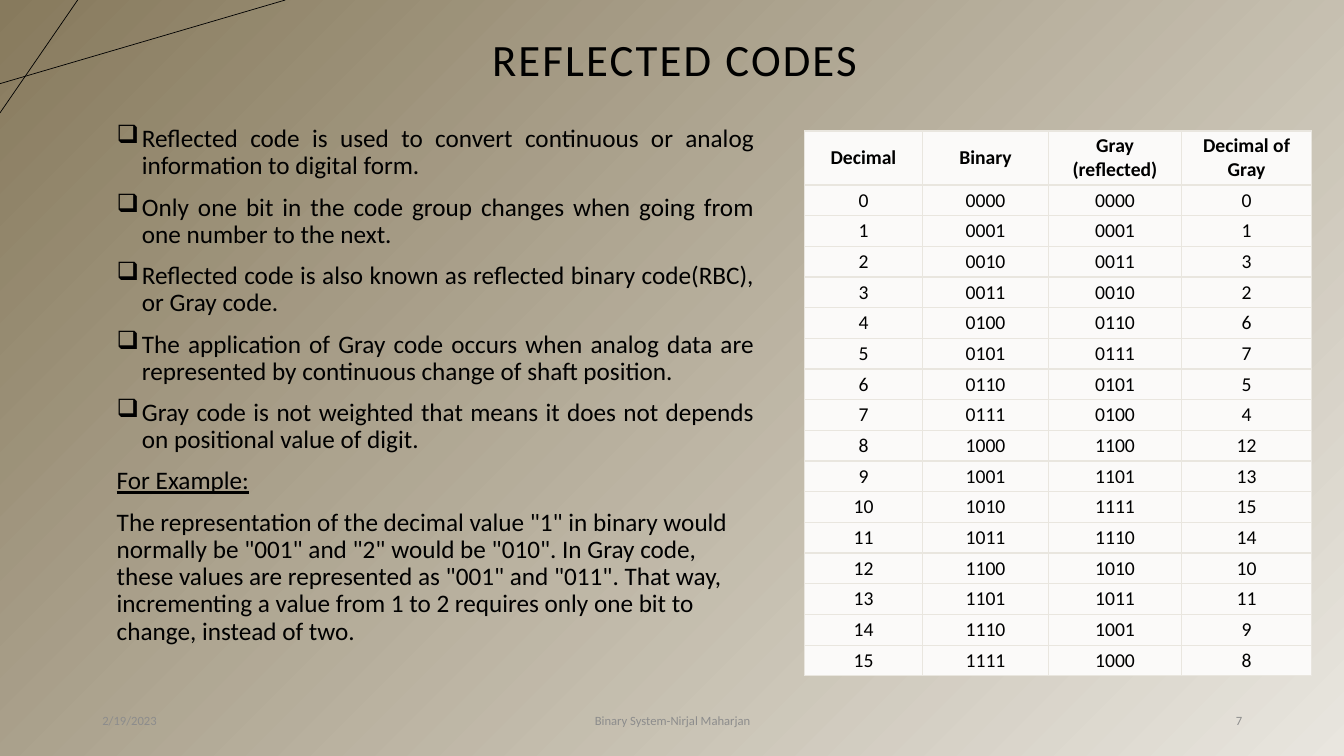
from dataclasses import dataclass
from typing import Optional

from lxml.etree import SubElement
from pptx import Presentation
from pptx.dml.color import RGBColor
from pptx.enum.shapes import MSO_CONNECTOR
from pptx.enum.text import MSO_ANCHOR as Anchor, MSO_AUTO_SIZE as AutoSize, PP_ALIGN as Align
from pptx.oxml import parse_xml
from pptx.oxml.ns import nsdecls, qn
from pptx.util import Inches, Pt


@dataclass(frozen=True)
class Theme:
    font: str = "Calibri"
    ink: str = "000000"
    muted: str = "8C8C8C"
    sand: str = "E9E6DF"
    earth: str = "877A5D"
    paper: str = "FBFAF9"
    title_size: int = 32
    body_size: int = 18
    table_size: int = 14
    footer_size: int = 9
    line_spacing: float = 0.9


@dataclass(frozen=True)
class Area:
    left: float
    top: float
    width: float
    height: float

    def box(self) -> tuple[int, int, int, int]:
        return across(self.left), down(self.top), across(self.width), down(self.height)


@dataclass(frozen=True)
class Statement:
    text: str
    bulleted: bool = False
    underlined: bool = False


@dataclass(frozen=True)
class FooterPart:
    text: str
    area: Area
    align: Align


@dataclass(frozen=True)
class Stroke:
    left_edge: float
    top_edge: float


@dataclass(frozen=True)
class Column:
    heading: str
    width: float


THEME = Theme()
SLIDE_WIDTH, SLIDE_HEIGHT = Inches(13.33), Inches(7.5)
TITLE_AREA = Area(35.86, 4.13, 30.98, 8.27)
BODY_AREA = Area(7.95, 16, 48.91, 65.33)
TABLE_LEFT, TABLE_TOP = 59.86, 17.33
HEADING_HEIGHT, CODE_HEIGHT = 7.14, 4.06
CODE_COUNT = 16

STROKES = [Stroke(11.07, 21.23), Stroke(14.93, 5.78)]
COLUMNS = [
    Column("Decimal", 8.78),
    Column("Binary", 9.38),
    Column("Gray (reflected)", 9.9),
    Column("Decimal of Gray", 9.68),
]
FOOTER = [
    FooterPart("2/19/2023", Area(6.88, 92.67, 22.5, 5.33), Align.LEFT),
    FooterPart("Binary System-Nirjal Maharjan", Area(33.16, 92.67, 33.76, 5.33), Align.CENTER),
    FooterPart("7", Area(70.67, 92.67, 22.5, 5.33), Align.RIGHT),
]
STATEMENTS = [
    Statement("Reflected code is used to convert continuous or analog information to digital form.", bulleted=True),
    Statement("Only one bit in the code group changes when going from one number to the next.", bulleted=True),
    Statement("Reflected code is also known as reflected binary code(RBC), or Gray code.", bulleted=True),
    Statement("The application of Gray code occurs when analog data are represented by "
              "continuous change of shaft position.", bulleted=True),
    Statement("Gray code is not weighted that means it does not depends on positional value of digit.", bulleted=True),
    Statement("For Example:", underlined=True),
    Statement('The representation of the decimal value "1" in binary would normally be "001" and "2" '
              'would be "010". In Gray code, these values are represented as "001" and "011". That way, '
              "incrementing a value from 1 to 2 requires only one bit to change, instead of two."),
]


def across(percent: float) -> int:
    return round(SLIDE_WIDTH * percent / 100)


def down(percent: float) -> int:
    return round(SLIDE_HEIGHT * percent / 100)


def add_run(paragraph, text: str, size: int, color: str = THEME.ink,
            bold: bool = False, underlined: Optional[bool] = None):
    run = paragraph.add_run()
    run.text = text
    font = run.font
    font.name, font.size, font.bold, font.underline = THEME.font, Pt(size), bold, underlined
    font.color.rgb = RGBColor.from_string(color)
    return run


def paint_background(slide) -> None:
    slide.element.cSld.insert(0, parse_xml(
        f'<p:bg {nsdecls("p", "a")}><p:bgPr><a:gradFill rotWithShape="1"><a:gsLst>'
        f'<a:gs pos="0"><a:srgbClr val="{THEME.sand}"/></a:gs>'
        f'<a:gs pos="100000"><a:srgbClr val="{THEME.earth}"/></a:gs></a:gsLst>'
        '<a:path path="circle"><a:fillToRect l="100000" t="100000"/></a:path>'
        '</a:gradFill><a:effectLst/></p:bgPr></p:bg>'))


def draw_stroke(slide, stroke: Stroke) -> None:
    line = slide.shapes.add_connector(
        MSO_CONNECTOR.STRAIGHT, 0, down(stroke.left_edge), across(stroke.top_edge), 0)
    line.line.color.rgb = RGBColor.from_string(THEME.ink)
    line.line.width = Pt(0.5)
    SubElement(line._element.spPr, qn("a:effectLst"))


def write_title(slide) -> None:
    title = slide.shapes.title
    title.left, title.top, title.width, title.height = TITLE_AREA.box()
    frame = title.text_frame
    frame.word_wrap, frame.auto_size, frame.vertical_anchor = True, AutoSize.NONE, Anchor.MIDDLE
    heading = frame.paragraphs[0]
    heading.alignment, heading.line_spacing = Align.LEFT, THEME.line_spacing
    run = add_run(heading, "REFLECTED CODES", THEME.title_size)
    run.font._element.set("spc", "150")


def write_statements(slide) -> None:
    frame = slide.shapes.add_textbox(*BODY_AREA.box()).text_frame
    frame.word_wrap = True
    for index, statement in enumerate(STATEMENTS):
        paragraph = frame.add_paragraph() if index else frame.paragraphs[0]
        paragraph.line_spacing, paragraph.space_before = THEME.line_spacing, Pt(10)
        if statement.bulleted:
            paragraph.alignment = Align.JUSTIFY
            properties = paragraph._p.get_or_add_pPr()
            properties.set("marL", str(Inches(0.25)))
            properties.set("indent", str(Inches(-0.25)))
            SubElement(properties, qn("a:buChar"), char="❑")
        add_run(paragraph, statement.text, THEME.body_size, underlined=statement.underlined)


def write_footer(slide, part: FooterPart) -> None:
    frame = slide.shapes.add_textbox(*part.area.box()).text_frame
    frame.word_wrap, frame.vertical_anchor = True, Anchor.MIDDLE
    frame.paragraphs[0].alignment = part.align
    add_run(frame.paragraphs[0], part.text, THEME.footer_size, THEME.muted)


def fill_cell(cell, text: str, bold: bool) -> None:
    properties = cell._tc.get_or_add_tcPr()
    for side in ("lnL", "lnR", "lnT", "lnB"):
        border = SubElement(properties, qn(f"a:{side}"), w=str(Pt(1)))
        SubElement(SubElement(border, qn("a:solidFill")), qn("a:srgbClr"), val=THEME.sand)
    cell.fill.solid()
    cell.fill.fore_color.rgb = RGBColor.from_string(THEME.paper)
    cell.margin_left = cell.margin_right = Inches(0.07)
    cell.margin_top = cell.margin_bottom = Inches(0.03)
    cell.vertical_anchor = Anchor.MIDDLE
    paragraph = cell.text_frame.paragraphs[0]
    paragraph.alignment = Align.CENTER
    add_run(paragraph, text, THEME.table_size, bold=bold)


def code_row(number: int) -> list[str]:
    gray = number ^ (number >> 1)
    return [f"{number}", f"{number:04b}", f"{gray:04b}", f"{gray}"]


def draw_codes(slide) -> None:
    rows = [[column.heading for column in COLUMNS], *map(code_row, range(CODE_COUNT))]
    area = Area(TABLE_LEFT, TABLE_TOP, sum(column.width for column in COLUMNS),
                HEADING_HEIGHT + CODE_COUNT * CODE_HEIGHT)
    codes = slide.shapes.add_table(len(rows), len(COLUMNS), *area.box()).table
    codes.horz_banding = False
    for slot, column in zip(codes.columns, COLUMNS):
        slot.width = across(column.width)
    for index, texts in enumerate(rows):
        codes.rows[index].height = down(CODE_HEIGHT if index else HEADING_HEIGHT)
        for cell, text in zip(codes.rows[index].cells, texts):
            fill_cell(cell, text, bold=index == 0)


def main() -> None:
    deck = Presentation()
    deck.slide_width, deck.slide_height = SLIDE_WIDTH, SLIDE_HEIGHT
    slide = deck.slides.add_slide(deck.slide_layouts.get_by_name("Title Only"))
    paint_background(slide)
    for stroke in STROKES:
        draw_stroke(slide, stroke)
    write_title(slide)
    for part in FOOTER:
        write_footer(slide, part)
    write_statements(slide)
    draw_codes(slide)
    deck.save("out.pptx")


if __name__ == "__main__":
    main()
